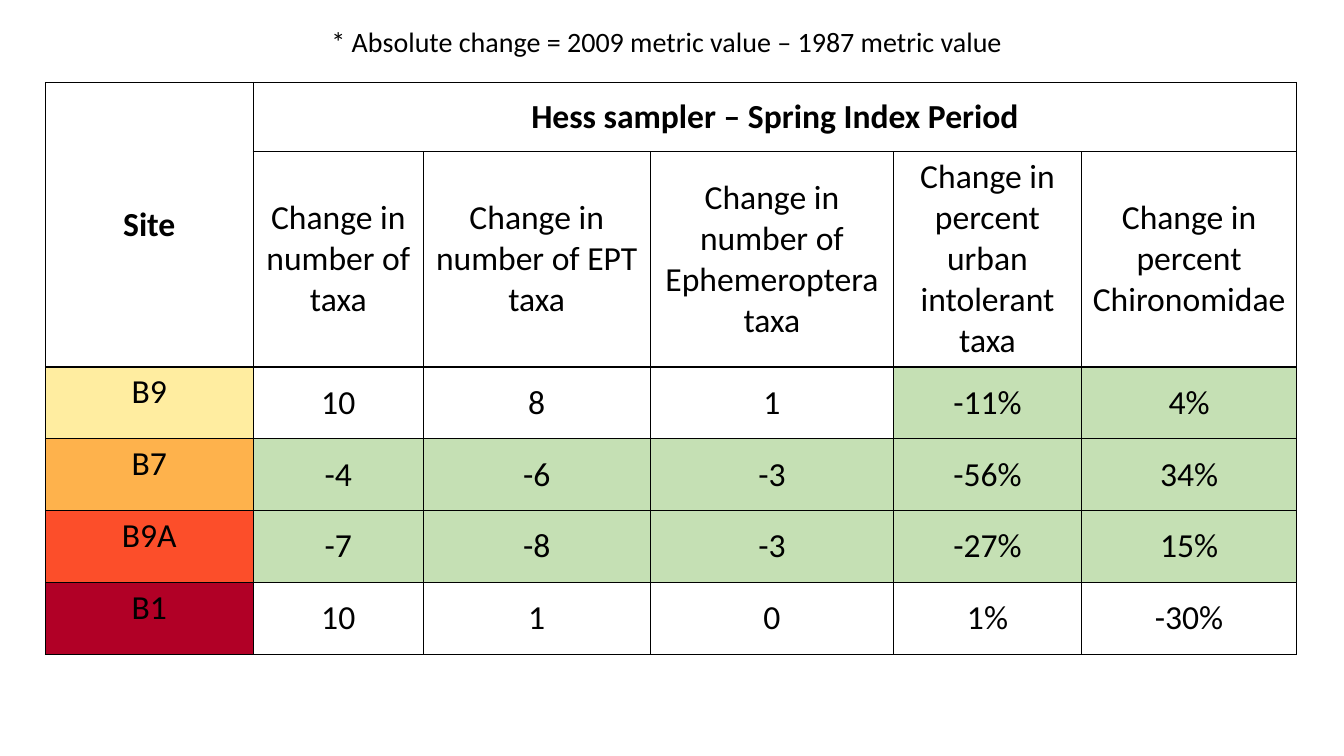
from lxml.etree import SubElement
from pptx import Presentation
from pptx.dml.color import RGBColor
from pptx.enum.text import MSO_ANCHOR, MSO_AUTO_SIZE, PP_ALIGN
from pptx.oxml.ns import qn
from pptx.util import Pt

COLORS = {
    "text": "000000",
    "border": "000000",
    "header": "FFFFFF",
    "impaired": "C5E0B4",
    "B9": "FFEDA0",
    "B7": "FEB24C",
    "B9A": "FC4E2A",
    "B1": "B10026",
}
COLUMN_WIDTHS = [148.5, 121.5, 162, 174, 134, 154]
ROW_HEIGHTS = [49.5, 152] + [51.3] * 4
ROWS = [
    ["Site", "Hess sampler – Spring Index Period", "", "", "", ""],
    [
        "",
        "Change in number of taxa",
        "Change in number of EPT taxa",
        "Change in number of Ephemeroptera taxa",
        "Change in percent urban intolerant taxa",
        "Change in percent Chironomidae",
    ],
    ["B9", "10", "8", "1", "-11%", "4%"],
    ["B7", "-4", "-6", "-3", "-56%", "34%"],
    ["B9A", "-7", "-8", "-3", "-27%", "15%"],
    ["B1", "10", "1", "0", "1%", "-30%"],
]
FIRST_IMPAIRED_COLUMN = {"B9": 4, "B7": 1, "B9A": 1, "B1": 6}


def format_text(paragraph, size, bold=False):
    formats = {"name": "Calibri", "size": Pt(size), "bold": bold}
    for name, value in formats.items():
        setattr(paragraph.font, name, value)
    paragraph.font.color.rgb = RGBColor.from_string(COLORS["text"])


def add_borders(cell):
    properties = cell._tc.get_or_add_tcPr()
    for position, side in enumerate(["lnL", "lnR", "lnT", "lnB"]):
        line = SubElement(properties, qn(f"a:{side}"), w=str(Pt(1)))
        fill = SubElement(line, qn("a:solidFill"))
        SubElement(fill, qn("a:srgbClr"), val=COLORS["border"])
        properties.insert(position, line)


presentation = Presentation()
presentation.slide_width = Pt(960)
presentation.slide_height = Pt(540)
slide = presentation.slides.add_slide(presentation.slide_layouts[6])

table_frame = slide.shapes.add_table(
    len(ROWS), len(COLUMN_WIDTHS), Pt(32.4), Pt(59), Pt(sum(COLUMN_WIDTHS)), Pt(sum(ROW_HEIGHTS))
)
table = table_frame.table
table.first_row = False
table.horz_banding = False
for column, width in zip(table.columns, COLUMN_WIDTHS):
    column.width = Pt(width)
for row, height in zip(table.rows, ROW_HEIGHTS):
    row.height = Pt(height)

for row_index, values in enumerate(ROWS):
    site = values[0]
    for column_index, value in enumerate(values):
        cell = table.cell(row_index, column_index)
        is_site = row_index > 1 and column_index == 0
        cell.vertical_anchor = MSO_ANCHOR.TOP if is_site else MSO_ANCHOR.MIDDLE
        if row_index < 2:
            color = "header"
        elif is_site:
            color = site
        elif column_index >= FIRST_IMPAIRED_COLUMN[site]:
            color = "impaired"
        else:
            color = None
        if color:
            cell.fill.solid()
            cell.fill.fore_color.rgb = RGBColor.from_string(COLORS[color])
        else:
            cell.fill.background()
        add_borders(cell)
        paragraph = cell.text_frame.paragraphs[0]
        paragraph.text = value
        paragraph.alignment = PP_ALIGN.CENTER
        format_text(paragraph, 24, bold=row_index == 0)

table.cell(0, 0).merge(table.cell(1, 0))
table.cell(0, 1).merge(table.cell(0, 5))

note = slide.shapes.add_textbox(Pt(229.7), Pt(13.7), Pt(498.2), Pt(31.7))
note.text_frame.word_wrap = False
note.text_frame.auto_size = MSO_AUTO_SIZE.SHAPE_TO_FIT_TEXT
note_paragraph = note.text_frame.paragraphs[0]
note_paragraph.text = "* Absolute change = 2009 metric value – 1987 metric value"
format_text(note_paragraph, 20)

presentation.save("out.pptx")
